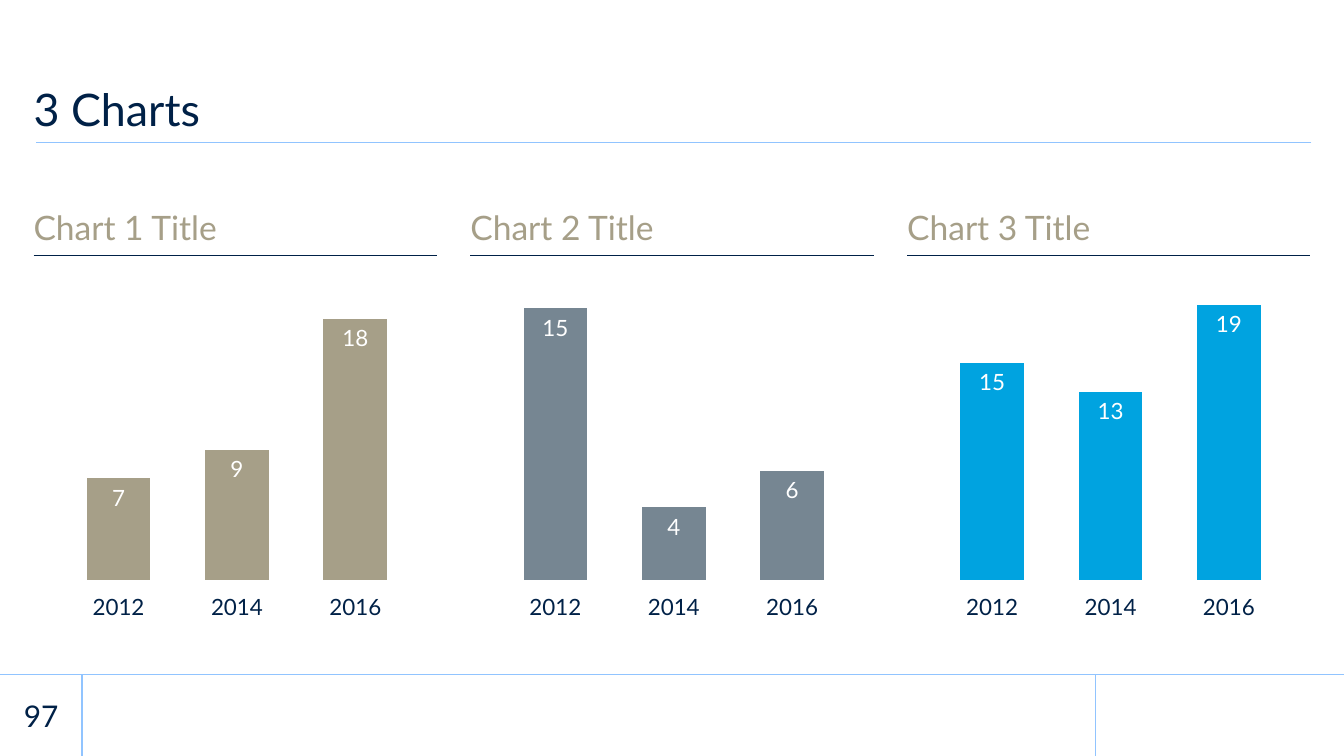
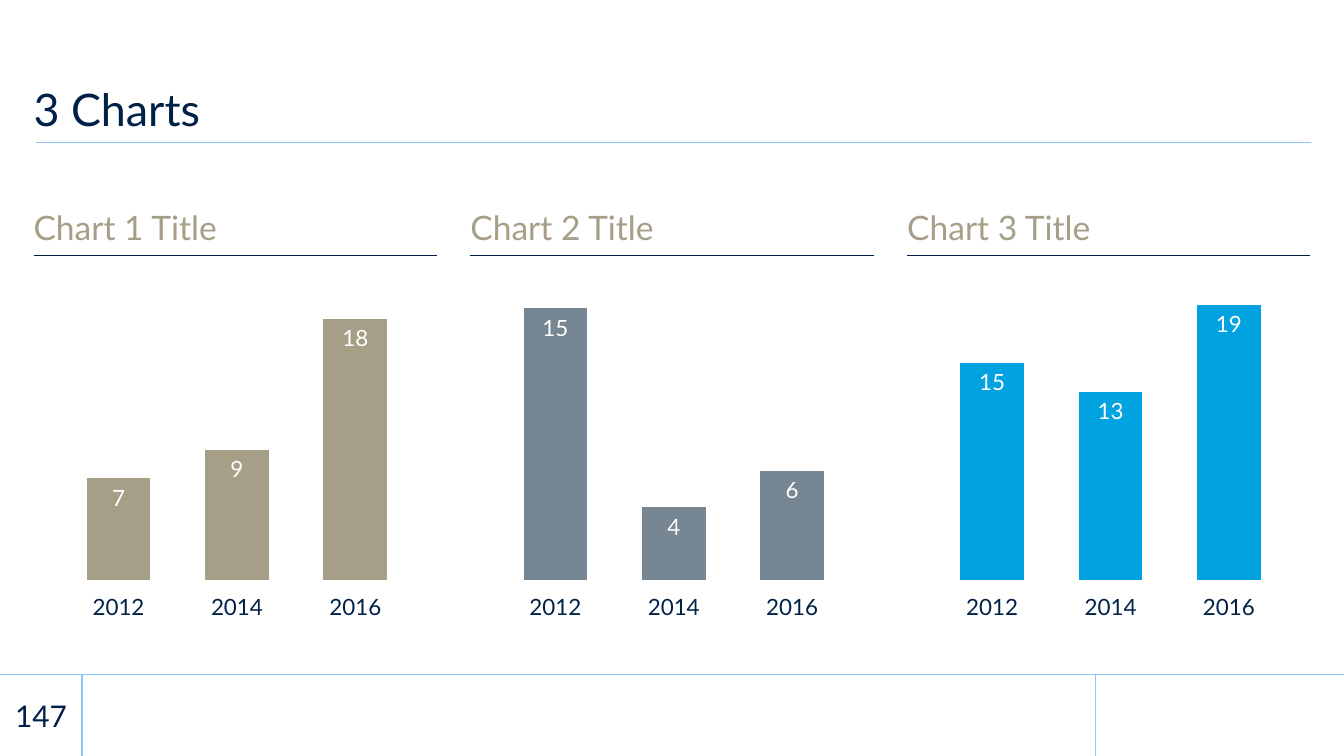
"""Build two three-chart slides with a shared title rule and footer band."""
import pptx
import pptx.chart.data
import pptx.dml.color
import pptx.enum.chart
import pptx.enum.shapes
import pptx.enum.text
import pptx.oxml
import pptx.oxml.ns
import pptx.util
from dataclasses import dataclass

Pt = pptx.util.Pt
RGB = pptx.dml.color.RGBColor.from_string
ANCHOR = pptx.enum.text.MSO_ANCHOR
ALIGN = pptx.enum.text.PP_ALIGN

TITLE = "3 Charts"
PAGE_NUMBERS = ["97", "147"]
YEARS = ["2012", "2014", "2016"]
CHARTS = [
    {"title": "Chart 1 Title", "values": (7, 9, 18), "top": 20, "color": "A69F88"},
    {"title": "Chart 2 Title", "values": (15, 4, 6), "top": 16, "color": "768692"},
    {"title": "Chart 3 Title", "values": (15, 13, 19), "top": 20, "color": "00A3E0"},
]


@dataclass(frozen=True)
class Theme:
    font: str = "Lato"
    navy: str = "002147"
    sand: str = "A69F88"
    sky: str = "91C4FF"
    white: str = "FFFFFF"
    title: int = 24
    heading: int = 18
    number: int = 16
    label: int = 12
    line: float = 0.75


T = Theme()
WIDTH, HEIGHT = 720, 405
MARGIN, GAP = 18, 18
COLUMN = (WIDTH - 2 * MARGIN - 2 * GAP) / 3
FOOTER_TOP = 361.2
FOOTER_H = HEIGHT - FOOTER_TOP
NUMBER_W, CORNER_X = 44, 587
PLOT = {"x": 0.064, "y": 0.072, "w": 0.881, "h": 0.769}


def set_font(font, size, color):
    font.name, font.size = T.font, Pt(size)
    font.color.rgb = RGB(color)


def fill_text(sp, text, size, color, anchor=ANCHOR.BOTTOM, align=ALIGN.LEFT, spacing=0.9, bottom=0, wrap=True):
    tf = sp.text_frame
    tf.auto_size = pptx.enum.text.MSO_AUTO_SIZE.NONE
    tf.word_wrap, tf.vertical_anchor = wrap, anchor
    tf.margin_left = tf.margin_right = tf.margin_top = 0
    tf.margin_bottom = Pt(bottom)
    p = tf.paragraphs[0]
    p.alignment, p.line_spacing = align, spacing
    r = p.add_run()
    r.text = text
    set_font(r.font, size, color)


def add_line(s, x1, y1, x2, y2, color):
    line = s.shapes.add_connector(
        pptx.enum.shapes.MSO_CONNECTOR.STRAIGHT, Pt(x1), Pt(y1), Pt(x2), Pt(y2))
    line.line.color.rgb = RGB(color)
    line.line.width = Pt(T.line)
    pptx.oxml.ns.qn("a:effectLst")
    line._element.spPr.append(pptx.oxml.parse_xml(
        f'<a:effectLst {pptx.oxml.ns.nsdecls("a")}/>'))


def add_band(s, x, w, alpha=None):
    band = s.shapes.add_shape(
        pptx.enum.shapes.MSO_SHAPE.RECTANGLE, Pt(x), Pt(FOOTER_TOP), Pt(w), Pt(FOOTER_H))
    band.shadow.inherit = False
    band.line.fill.background()
    band.fill.solid()
    band.fill.fore_color.rgb = RGB(T.white)
    if alpha:
        color = band._element.spPr.find(".//" + pptx.oxml.ns.qn("a:srgbClr"))
        color.append(pptx.oxml.parse_xml(
            f'<a:alpha {pptx.oxml.ns.nsdecls("a")} val="{alpha * 1000}"/>'))


def add_frame(s, number):
    add_band(s, 0, WIDTH, 85)
    add_band(s, CORNER_X, WIDTH - CORNER_X)
    add_line(s, WIDTH, FOOTER_TOP, 0, FOOTER_TOP, T.sky)
    for x in (CORNER_X, NUMBER_W):
        add_line(s, x, HEIGHT, x, FOOTER_TOP, T.sky)
    add_line(s, 702.5, 76.3, 19.4, 76.3, T.sky)
    box = s.shapes.add_textbox(0, Pt(FOOTER_TOP), Pt(NUMBER_W), Pt(FOOTER_H))
    fill_text(box, number, T.number, T.navy, ANCHOR.MIDDLE, ALIGN.CENTER, 1.0, wrap=False)
    title = s.shapes.title
    title.left, title.top, title.width, title.height = Pt(MARGIN), Pt(18.7), Pt(684), Pt(57.6)
    fill_text(title, TITLE, T.title, T.navy, bottom=3.6)


def fix_plot(chart):
    parts = "".join(f'<c:{k} val="{v}"/>' for k, v in PLOT.items())
    layout = pptx.oxml.parse_xml(
        f'<c:layout {pptx.oxml.ns.nsdecls("c")}><c:manualLayout><c:layoutTarget val="inner"/>'
        f'<c:xMode val="edge"/><c:yMode val="edge"/>{parts}</c:manualLayout></c:layout>')
    area = chart._chartSpace.chart.plotArea
    for old in area.findall(pptx.oxml.ns.qn("c:layout")):
        area.remove(old)
    area.insert(0, layout)


def add_column_chart(s, x, item):
    data = pptx.chart.data.CategoryChartData()
    data.categories = YEARS
    data.add_series("Series 1", item["values"])
    chart = s.shapes.add_chart(
        pptx.enum.chart.XL_CHART_TYPE.COLUMN_CLUSTERED,
        Pt(x), Pt(141.1), Pt(COLUMN), Pt(201.6), data).chart
    chart.has_legend = chart.has_title = False
    set_font(chart.font, T.heading, "000000")
    fix_plot(chart)

    years = chart.category_axis
    years.major_tick_mark = pptx.enum.chart.XL_TICK_MARK.OUTSIDE
    years.format.line.fill.background()
    set_font(years.tick_labels.font, T.label, T.navy)

    scale = chart.value_axis
    scale.visible = scale.has_major_gridlines = False
    scale.minimum_scale, scale.maximum_scale = 0, item["top"]

    plot = chart.plots[0]
    plot.gap_width, plot.vary_by_categories = 86, False
    series = plot.series[0]
    series.format.fill.solid()
    series.format.fill.fore_color.rgb = RGB(item["color"])
    labels = series.data_labels
    labels.show_value = True
    labels.position = pptx.enum.chart.XL_LABEL_POSITION.INSIDE_END
    set_font(labels.font, T.label, T.white)


def add_columns(s):
    for i, item in enumerate(CHARTS):
        x = MARGIN + i * (COLUMN + GAP)
        add_line(s, x, 136.8, x + COLUMN, 136.8, T.navy)
        heading = s.shapes.add_textbox(Pt(x), Pt(94.3), Pt(COLUMN), Pt(38.2))
        fill_text(heading, item["title"], T.heading, T.sand)
        add_column_chart(s, x, item)


def main():
    prs = pptx.Presentation()
    prs.slide_width, prs.slide_height = Pt(WIDTH), Pt(HEIGHT)
    for number in PAGE_NUMBERS:
        s = prs.slides.add_slide(prs.slide_layouts[5])
        add_frame(s, number)
        add_columns(s)
    prs.save("out.pptx")


if __name__ == "__main__":
    main()
